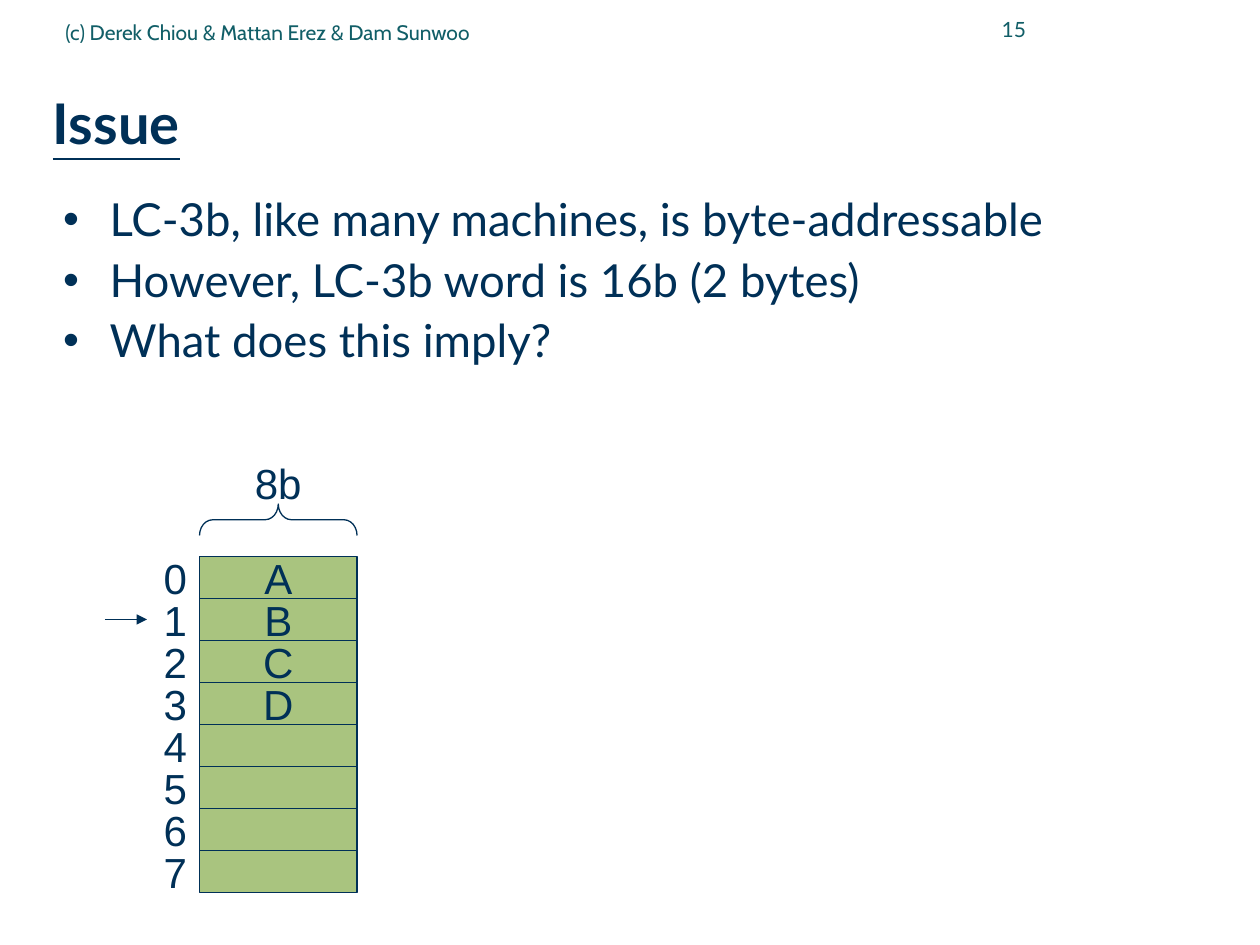
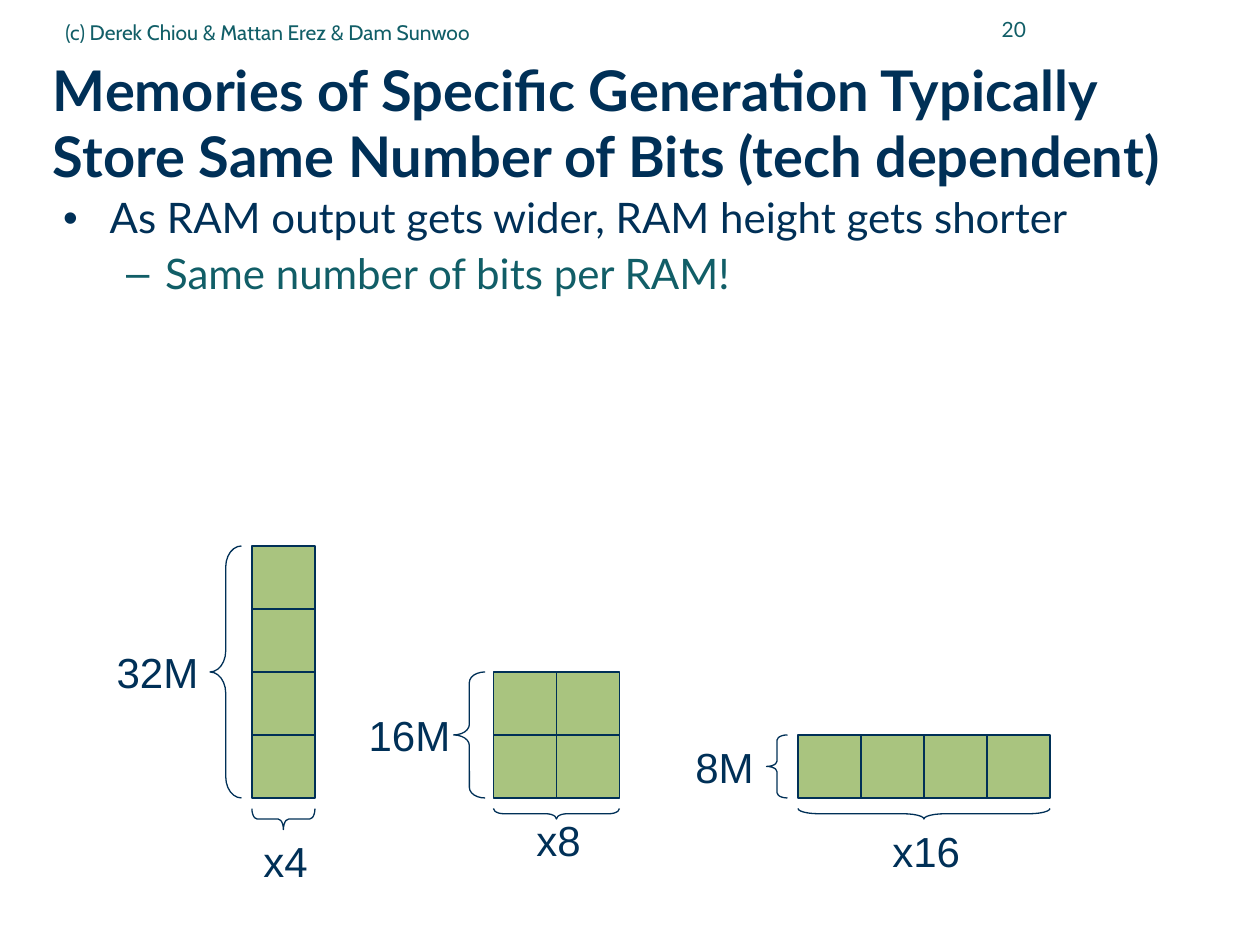
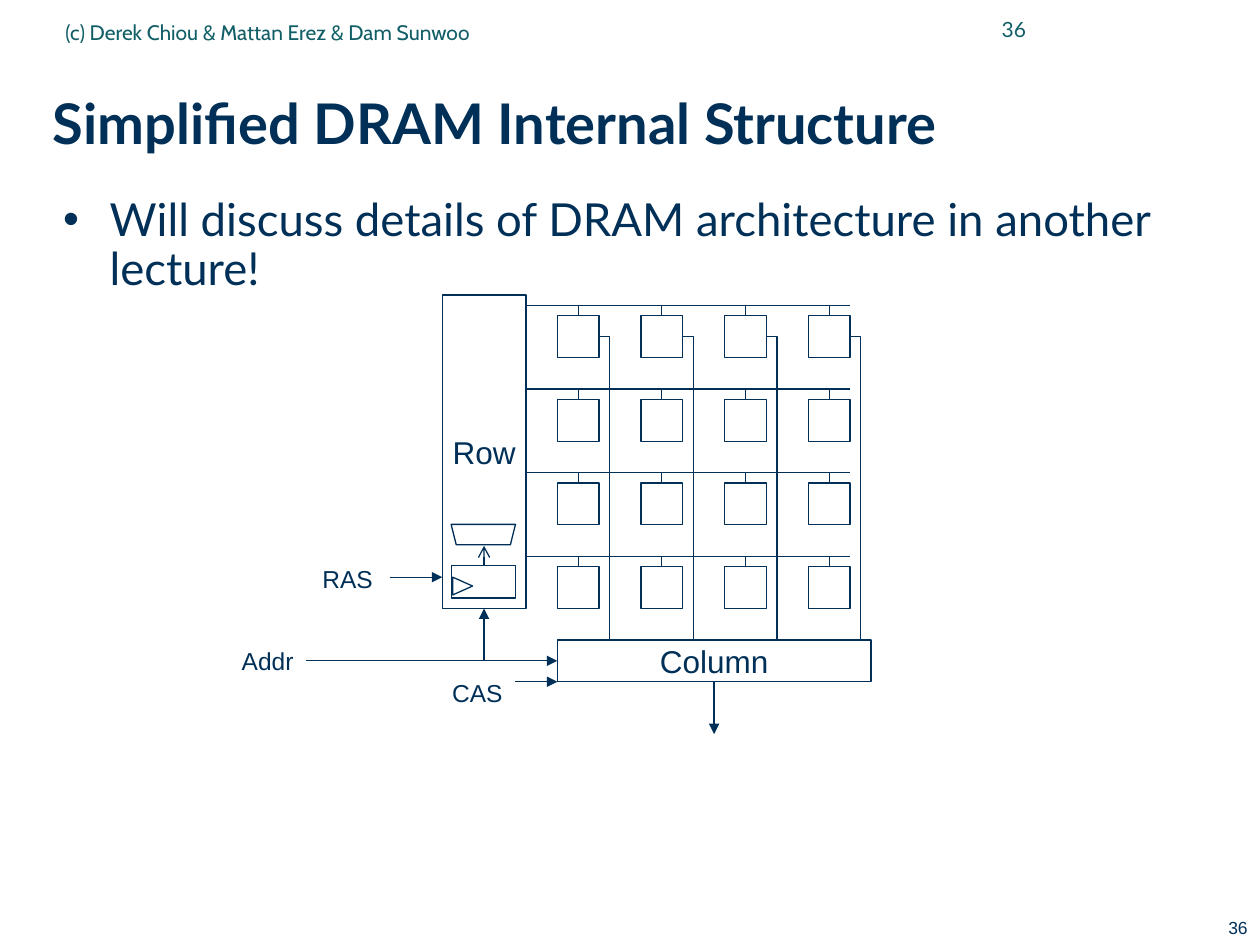
from dataclasses import dataclass

from lxml import etree
from pptx import Presentation, util as u
from pptx.dml.color import RGBColor
from pptx.enum import shapes, text
from pptx.oxml.ns import qn

COLORS = {"navy": "003057", "teal": "115E67", "green": "A9C47F"}
LINE_WIDTH = 0.75
FOOTER = "(c) Derek Chiou & Mattan Erez & Dam Sunwoo"
SHAPE, ALIGN, ANCHOR = shapes.MSO_SHAPE, text.PP_ALIGN, text.MSO_ANCHOR
STRAIGHT, ELBOW = shapes.MSO_CONNECTOR.STRAIGHT, shapes.MSO_CONNECTOR.ELBOW
# Per level: bullet, colour, left margin, hanging indent, space before
LEVELS = [("•", "navy", 0.37, 0.37, 6.5), ("–", "teal", 0.81, 0.31, 6)]


@dataclass
class Grid:
    """Square grid; origin and step in inches."""
    left: float
    top: float
    step: float

    def point(self, column, row):
        return u.Inches(self.left + column * self.step), u.Inches(self.top + row * self.step)

    def box(self, column, row, columns, rows):
        return *self.point(column, row), u.Inches(columns * self.step), u.Inches(rows * self.step)


PAGE = Grid(0, 0, 1 / 12)
DRAM = Grid(3.51, 2.34, 2.49 / 30)


def rgb(name):
    return RGBColor.from_string(COLORS[name])


def format_runs(paragraph, size, font="Arial", color="navy", bold=None, underline=None):
    for run in paragraph.runs:
        run.font.size = u.Pt(size)
        run.font.name = font
        run.font.color.rgb = rgb(color)
        run.font.bold = bold
        run.font.underline = underline


def outline(shape):
    shape.line.color.rgb = rgb("navy")
    shape.line.width = u.Pt(LINE_WIDTH)


def add_text(slide, grid, box, words, size, align=ALIGN.CENTER, anchor=ANCHOR.TOP,
             wrap=False, inset=True, **style):
    frame = slide.shapes.add_textbox(*grid.box(*box)).text_frame
    frame.text = words
    frame.word_wrap = wrap
    frame.vertical_anchor = anchor
    if not inset:
        frame.margin_left = frame.margin_right = frame.margin_top = frame.margin_bottom = 0
    for paragraph in frame.paragraphs:
        paragraph.alignment = align
        format_runs(paragraph, size, **style)
    return frame


def add_label(slide, grid, center, top, columns, rows, words, size):
    """Single-line label, centred on a column, whose box grows with its text."""
    frame = add_text(slide, grid, (center - columns / 2, top, columns, rows), words, size)
    frame.auto_size = text.MSO_AUTO_SIZE.SHAPE_TO_FIT_TEXT


def add_shape(slide, grid, box, kind=SHAPE.RECTANGLE, fill=None, words="", size=24, rotation=0):
    shape = slide.shapes.add_shape(kind, *grid.box(*box))
    shape.shadow.inherit = False
    shape.rotation = rotation
    if fill:
        shape.fill.solid()
        shape.fill.fore_color.rgb = rgb(fill)
    else:
        shape.fill.background()
    outline(shape)
    if words:
        frame = shape.text_frame
        frame.text = words
        frame.word_wrap = False
        frame.vertical_anchor = ANCHOR.MIDDLE
        frame.paragraphs[0].alignment = ALIGN.CENTER
        format_runs(frame.paragraphs[0], size)
    return shape


def add_brace(slide, box, rotation=0):
    """Brace that fills the box as seen; turned 90 it points up, 270 down."""
    column, row, columns, rows = box
    if rotation:
        column, row = column + (columns - rows) / 2, row + (rows - columns) / 2
        columns, rows = rows, columns
    brace = add_shape(slide, PAGE, (column, row, columns, rows), SHAPE.LEFT_BRACE, rotation=rotation)
    brace.adjustments[0] = rows / columns / 12


def add_line(slide, grid, start, end, head=None, kind=STRAIGHT):
    connector = slide.shapes.add_connector(kind, *grid.point(*start), *grid.point(*end))
    outline(connector)
    properties = connector._element.spPr
    if kind == ELBOW:
        properties.find(qn("a:prstGeom")).set("prst", "bentConnector2")
    if head:
        etree.SubElement(properties.find(qn("a:ln")), qn("a:tailEnd"), type=head)
    etree.SubElement(properties, qn("a:effectLst"))


def add_path(slide, grid, points):
    start, *others = [grid.point(*point) for point in points]
    builder = slide.shapes.build_freeform(*start)
    builder.add_line_segments(others, close=False)
    shape = builder.convert_to_shape()
    shape.shadow.inherit = False
    shape.fill.background()
    outline(shape)


def add_bullets(slide, items, size):
    """Body text from (level, words) pairs."""
    words = "\n".join(item for _, item in items)
    frame = add_text(slide, PAGE, (6, 18.8, 112, 70.9), words, size, ALIGN.LEFT,
                     wrap=True, inset=False, font="Lato")
    for paragraph, (level, _) in zip(frame.paragraphs, items):
        bullet, color, margin, hanging, space = LEVELS[level]
        paragraph.level = level
        paragraph.line_spacing = 0.9
        paragraph.space_before = u.Pt(space)
        format_runs(paragraph, size, "Lato", color)
        properties = paragraph._p.get_or_add_pPr()
        properties.set("marL", str(u.Inches(margin)))
        properties.set("indent", str(-u.Inches(hanging)))
        bullet_color = etree.SubElement(properties, qn("a:buClr"))
        etree.SubElement(bullet_color, qn("a:srgbClr"), val=COLORS[color])
        etree.SubElement(properties, qn("a:buFont"), typeface="Arial")
        etree.SubElement(properties, qn("a:buChar"), char=bullet)


def start_slide(presentation, title, number, underline=None):
    slide = presentation.slides.add_slide(presentation.slide_layouts[6])
    frame = add_text(slide, PAGE, (5.05, 6, 113, 11.75), title, 32, ALIGN.LEFT, ANCHOR.MIDDLE,
                     wrap=True, inset=False, font="Lato", bold=True, underline=underline)
    frame.paragraphs[0].line_spacing = 0.99
    add_text(slide, PAGE, (88, -0.25, 10.9, 6), str(number), 12, ALIGN.RIGHT, ANCHOR.MIDDLE,
             wrap=True, font="Lato", color="teal")
    add_text(slide, PAGE, (5.05, 0.35, 68, 5.5), FOOTER, 12, ALIGN.LEFT, ANCHOR.MIDDLE,
             wrap=True, font="Cabin", color="teal")
    return slide


def add_byte_memory(slide):
    left, top, width, height = 19, 53, 15, 4
    for address, content in enumerate(["A", "B", "C", "D", "", "", "", ""]):
        row = top + address * height
        add_shape(slide, PAGE, (left, row, width, height), fill="green", words=content)
        add_text(slide, PAGE, (left - 7, row, 7, height), str(address), 24,
                 ALIGN.RIGHT, ANCHOR.MIDDLE)
    add_brace(slide, (left, top - 5, width, 3), 90)
    add_label(slide, PAGE, left + width / 2, top - 10, 7, 6, "8b", 24)
    add_line(slide, PAGE, (10, 59), (14, 59), "triangle")


def add_ram(slide, left, columns, rows, depth, depth_center, side_brace, width, width_top, bottom_brace):
    """RAM block with its depth label on the left and its width label below."""
    cell, bottom = 6, 76
    top = bottom - rows * cell
    for column in range(columns):
        for row in range(rows):
            add_shape(slide, PAGE, (left + column * cell, top + row * cell, cell, cell), fill="green")
    brace_left, brace_width = side_brace
    add_brace(slide, (brace_left, top, brace_width, rows * cell))
    add_brace(slide, (left, bottom + 1, columns * cell, bottom_brace), 270)
    add_label(slide, PAGE, depth_center, (top + bottom) / 2 - 3, 11, 6, depth, 24)
    add_label(slide, PAGE, left + columns * cell / 2 + 0.2, width_top, 10, 6, width, 24)


def add_cell_array(slide, count=4, pitch=8):
    for row in range(0, count * pitch, pitch):
        add_line(slide, DRAM, (8, 1 + row), (39, 1 + row))
        for column in range(0, count * pitch, pitch):
            add_shape(slide, DRAM, (11 + column, 2 + row, 4, 4))
            add_line(slide, DRAM, (13 + column, 1 + row), (13 + column, 2 + row))
    for column in range(0, count * pitch, pitch):
        add_path(slide, DRAM, [(15 + column, 4), (16 + column, 4), (16 + column, 33)])


def add_decoders(slide):
    add_shape(slide, DRAM, (0, 0, 8, 30), words="Row", size=18)
    add_shape(slide, DRAM, (11, 33, 30, 4), words="Column", size=18)
    add_shape(slide, DRAM, (0.85, 25.9, 6.15, 3.1))
    add_shape(slide, DRAM, (1.1, 26.9, 1.7, 1.9), SHAPE.ISOSCELES_TRIANGLE, rotation=90)
    add_shape(slide, DRAM, (0.85, 21.95, 6.15, 1.95), SHAPE.TRAPEZOID, rotation=180)
    add_line(slide, DRAM, (4, 25.9), (4, 24), "arrow")


def add_signals(slide):
    for start, end in [((-11, 35), (11, 35)), ((26, 37), (26, 42)),
                       ((-5, 27), (0, 27)), ((7, 37), (11, 37))]:
        add_line(slide, DRAM, start, end, "triangle")
    add_line(slide, DRAM, (-13, 35), (4, 30), "triangle", ELBOW)
    for name, center, top in [("RAS", -9.05, 25.15), ("CAS", 3.35, 36), ("Addr", -16.7, 33)]:
        add_label(slide, DRAM, center, top, 8, 4, name, 14)


def main():
    presentation = Presentation()
    presentation.slide_width, presentation.slide_height = u.Inches(10), u.Inches(7.5)

    slide = start_slide(presentation, "Issue", 15, underline=True)
    add_bullets(slide, [(0, "LC-3b, like many machines, is byte-addressable"),
                        (0, "However, LC-3b word is 16b (2 bytes)"),
                        (0, "What does this imply?")], 26)
    add_byte_memory(slide)

    slide = start_slide(presentation, "Memories of Specific Generation Typically "
                        "Store Same Number of Bits (tech dependent)", 20)
    add_bullets(slide, [(0, "As RAM output gets wider, RAM height gets shorter"),
                        (1, "Same number of bits per RAM!")], 24)
    add_ram(slide, 24, 1, 4, "32M", 15, (20, 3), "x4", 79, 2)
    add_ram(slide, 47, 2, 2, "16M", 39, (43.2, 3), "x8", 77, 1)
    add_ram(slide, 76, 4, 1, "8M", 69, (73, 2), "x16", 78, 1)

    slide = start_slide(presentation, "Simplified DRAM Internal Structure", 36)
    add_bullets(slide, [(0, "Will discuss details of DRAM architecture in another lecture!")], 26)
    add_text(slide, PAGE, (92, 86.75, 28, 3.25), "36", 10, ALIGN.RIGHT, wrap=True)
    add_cell_array(slide)
    add_decoders(slide)
    add_signals(slide)

    presentation.save("out.pptx")


if __name__ == "__main__":
    main()
